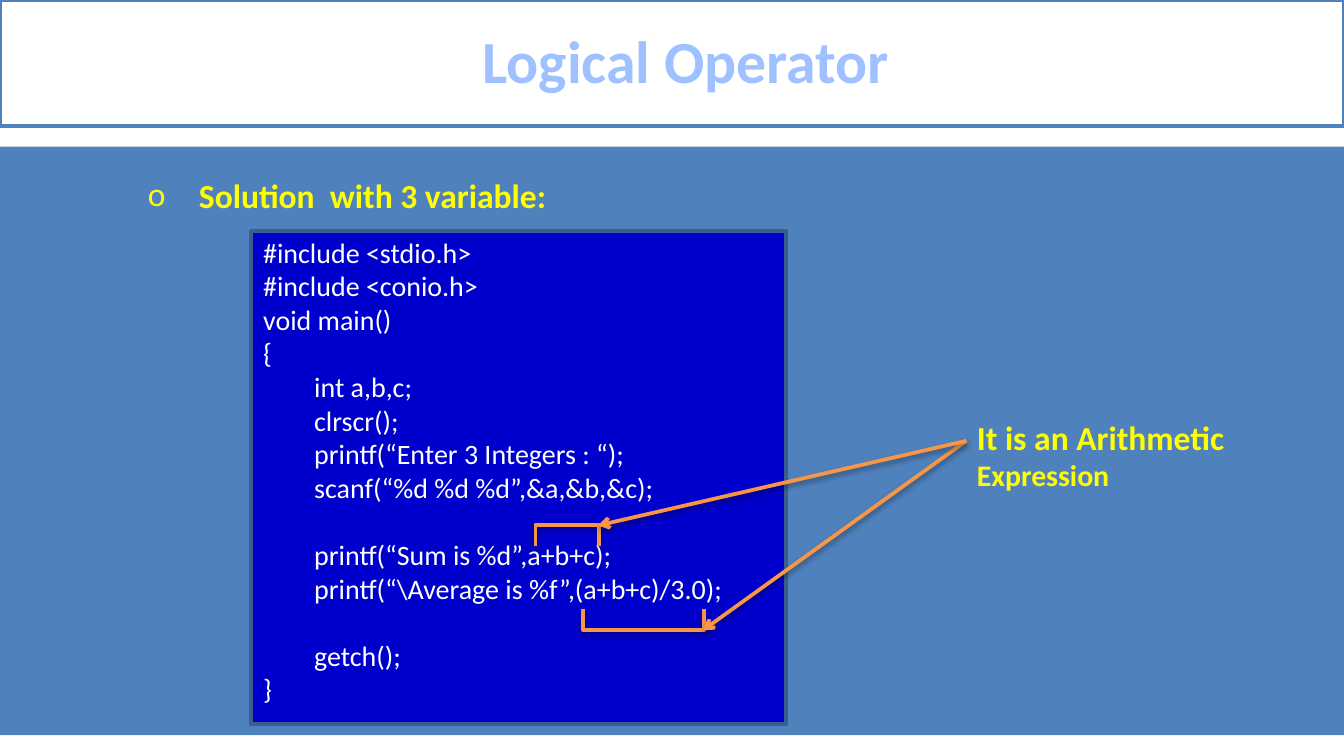
"""Build the Logical Operator slide with its annotated C program."""
from dataclasses import dataclass

from lxml.etree import SubElement
from pptx import Presentation
from pptx.dml.color import RGBColor
from pptx.enum.shapes import MSO_CONNECTOR as Connector, MSO_SHAPE as Shape
from pptx.enum.text import MSO_ANCHOR as Anchor, MSO_AUTO_SIZE as AutoSize, PP_ALIGN as Align
from pptx.oxml.ns import qn
from pptx.util import Inches, Pt

WHITE = RGBColor(0xFF, 0xFF, 0xFF)
BLUE = RGBColor(0x4F, 0x81, 0xBD)
NAVY = RGBColor(0x00, 0x00, 0xCC)
EDGE = RGBColor(0x3A, 0x5F, 0x8C)
PALE = RGBColor(0xA0, 0xC1, 0xFF)
YELLOW = RGBColor(0xFF, 0xFF, 0x00)
ORANGE = RGBColor(0xF7, 0x96, 0x46)
FONT = "Calibri"
CODE_SIZE = 15
BLANK_LINE = Pt(18)
CODE = """#include <stdio.h>
#include <conio.h>
void main()
{
\tint a,b,c;
\tclrscr();
\tprintf(“Enter 3 Integers : “);
\tscanf(“%d %d %d”,&a,&b,&c);

\tprintf(“Sum is %d”,a+b+c);
\tprintf(“\\Average is %f”,(a+b+c)/3.0);

\tgetch();
}"""


@dataclass
class Area:
    left: float
    top: float
    width: float
    height: float

    def lengths(self) -> tuple:
        return tuple(Inches(side) for side in (self.left, self.top, self.width, self.height))


@dataclass
class Mark:
    kind: Shape
    area: Area
    target: tuple


MARKS = (
    Mark(Shape.RIGHT_BRACKET, Area(4.71, 4.16, 0.16, 0.9), (5.23, 4.69)),
    Mark(Shape.LEFT_BRACKET, Area(4.14, 3.75, 0.16, 0.47), (4.45, 3.91)),
)
ARROW_START = (7.19, 3.28)


def place(shape, area: Area) -> None:
    shape.left, shape.top, shape.width, shape.height = area.lengths()


def set_font(para, size: float, color: RGBColor, bold: bool = False) -> None:
    para.font.name, para.font.size, para.font.bold = FONT, Pt(size), bold
    para.font.color.rgb = color


def indent(para, margin: float, hanging: float = 0):
    properties = para._p.get_or_add_pPr()
    properties.set("marL", str(Inches(margin)))
    properties.set("indent", str(-Inches(hanging)))
    return properties


def add_panel(page, area: Area, color: RGBColor):
    panel = page.shapes.add_shape(Shape.RECTANGLE, *area.lengths())
    panel.shadow.inherit = False
    panel.fill.solid()
    panel.fill.fore_color.rgb = color
    panel.line.fill.background()
    return panel


def set_line(shape, color: RGBColor) -> None:
    shape.line.color.rgb = color
    shape.line.width = Pt(2)


def add_shadow(shape) -> None:
    effects = SubElement(shape._element.spPr, qn("a:effectLst"))
    shadow = SubElement(effects, qn("a:outerShdw"), blurRad=str(Pt(3.1)), dist=str(Pt(1.6)),
                        dir="5400000", rotWithShape="0")
    black = SubElement(shadow, qn("a:srgbClr"), val="000000")
    SubElement(black, qn("a:alpha"), val="38000")


def add_text(page, area: Area):
    box = page.shapes.add_textbox(*area.lengths())
    box.text_frame.word_wrap = True
    return box.text_frame


def add_code(page, area: Area) -> None:
    frame = add_text(page, area)
    para, gap = frame.paragraphs[0], Pt(0)
    for number, line in enumerate(CODE.splitlines()):
        if not line:
            gap = BLANK_LINE
            continue
        if number:
            para = frame.add_paragraph()
        para.text = line
        para.space_before, gap = gap, Pt(0)
        indent(para, 1.38, 0.38)
        set_font(para, CODE_SIZE, WHITE)


def add_note(page, area: Area) -> None:
    frame = add_text(page, area)
    frame.text = "It is an Arithmetic\nExpression"
    for para, size in zip(frame.paragraphs, (18, 16)):
        indent(para, 1.38, 0.38)
        set_font(para, size, YELLOW, True)


def add_bracket(page, mark: Mark) -> None:
    bracket = page.shapes.add_shape(mark.kind, *mark.area.lengths())
    bracket.rotation = 90
    bracket.adjustments[0] = 0
    bracket.fill.background()
    set_line(bracket, ORANGE)
    add_shadow(bracket)


def add_arrow(page, start: tuple, end: tuple) -> None:
    arrow = page.shapes.add_connector(Connector.STRAIGHT, *map(Inches, start + end))
    set_line(arrow, ORANGE)
    SubElement(arrow.line._get_or_add_ln(), qn("a:tailEnd"), type="arrow")
    add_shadow(arrow)


def fill_title(title) -> None:
    place(title, Area(0, 0, 10, 0.94))
    title.fill.solid()
    title.fill.fore_color.rgb = WHITE
    set_line(title, BLUE)
    title.text_frame.text = "Logical Operator"
    title.text_frame.vertical_anchor = Anchor.MIDDLE
    title.text_frame.auto_size = AutoSize.NONE
    para = title.text_frame.paragraphs[0]
    para.alignment = Align.CENTER
    para.line_spacing = 0.96
    indent(para, 0.21)
    set_font(para, 32, PALE, True)


def fill_body(body) -> None:
    place(body, Area(0, 1.25, 10, 1.31))
    body.text_frame.text = "Solution  with 3 variable:"
    body.text_frame.auto_size = AutoSize.NONE
    para = body.text_frame.paragraphs[0]
    para.space_before = Pt(0)
    properties = indent(para, 1.38, 0.38)
    SubElement(properties, qn("a:buFont"), typeface=FONT)
    SubElement(properties, qn("a:buChar"), char="o")
    set_font(para, 18, YELLOW, True)


def main() -> None:
    deck = Presentation()
    deck.slide_width = Inches(10)
    deck.slide_height = deck.slide_width * 9 // 16
    page = deck.slides.add_slide(deck.slide_layouts[1])
    fill_title(page.shapes.title)
    fill_body(page.placeholders[1])
    backdrop = add_panel(page, Area(0, 1.09, 10, 4.38), BLUE)
    page.shapes._spTree.insert(2, backdrop._element)
    code_panel = add_panel(page, Area(1.87, 1.72, 3.98, 3.67), NAVY)
    set_line(code_panel, EDGE)
    add_code(page, Area(0.86, 1.7, 4.77, 3.65))
    for mark in MARKS:
        add_bracket(page, mark)
    for mark in MARKS:
        add_arrow(page, ARROW_START, mark.target)
    add_note(page, Area(6.17, 3.05, 3.59, 0.67))
    deck.save("out.pptx")


if __name__ == "__main__":
    main()
